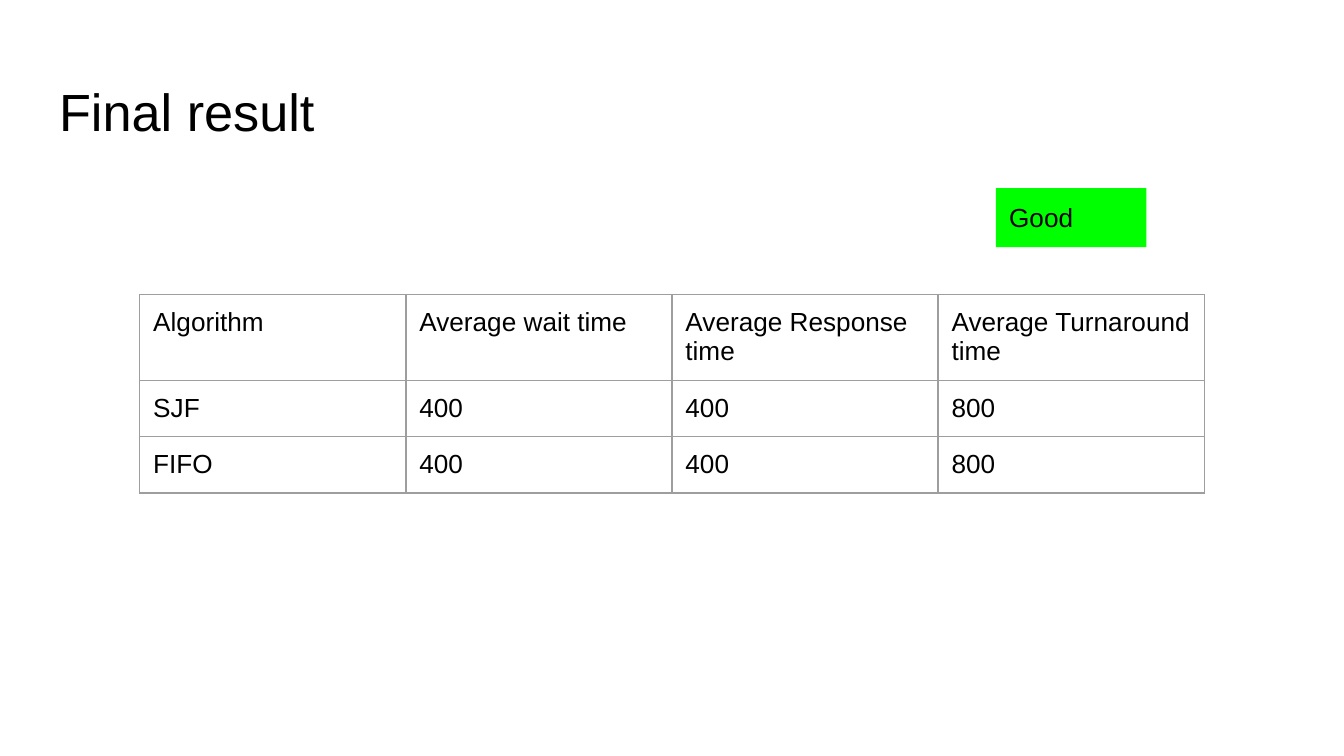
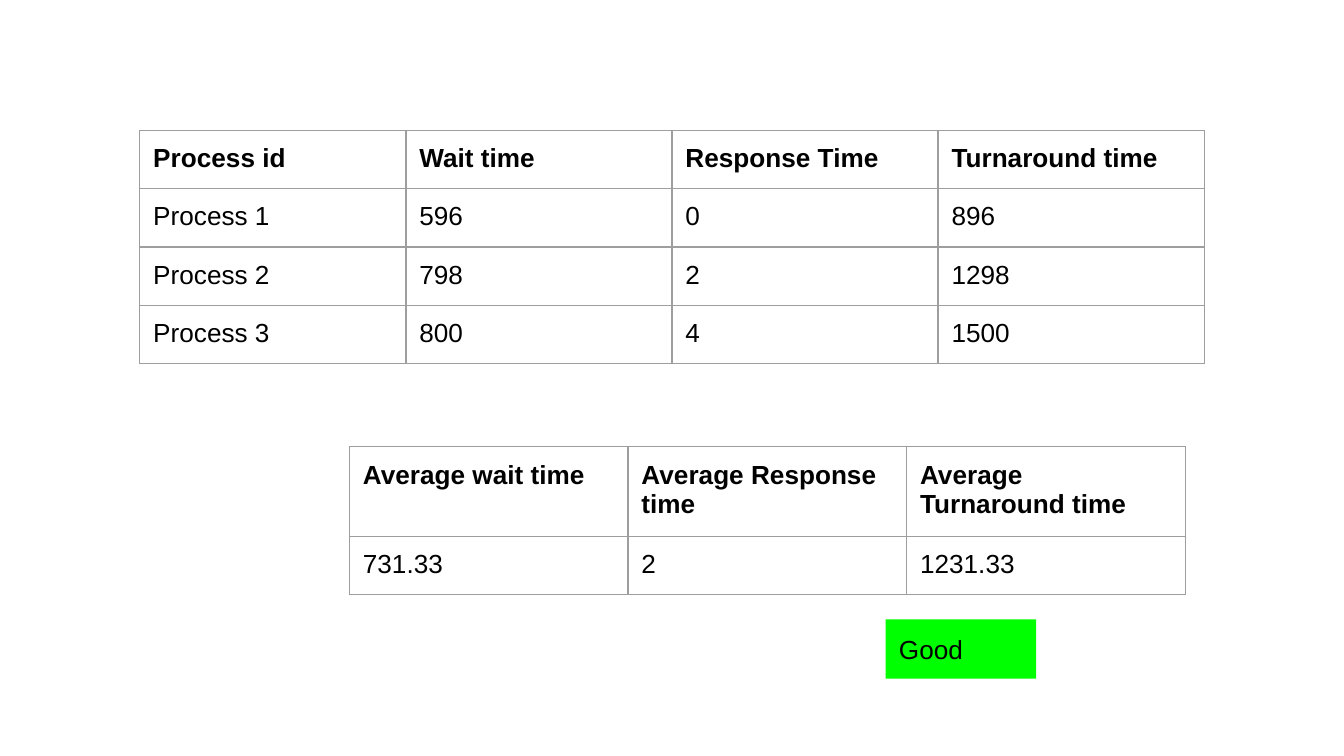
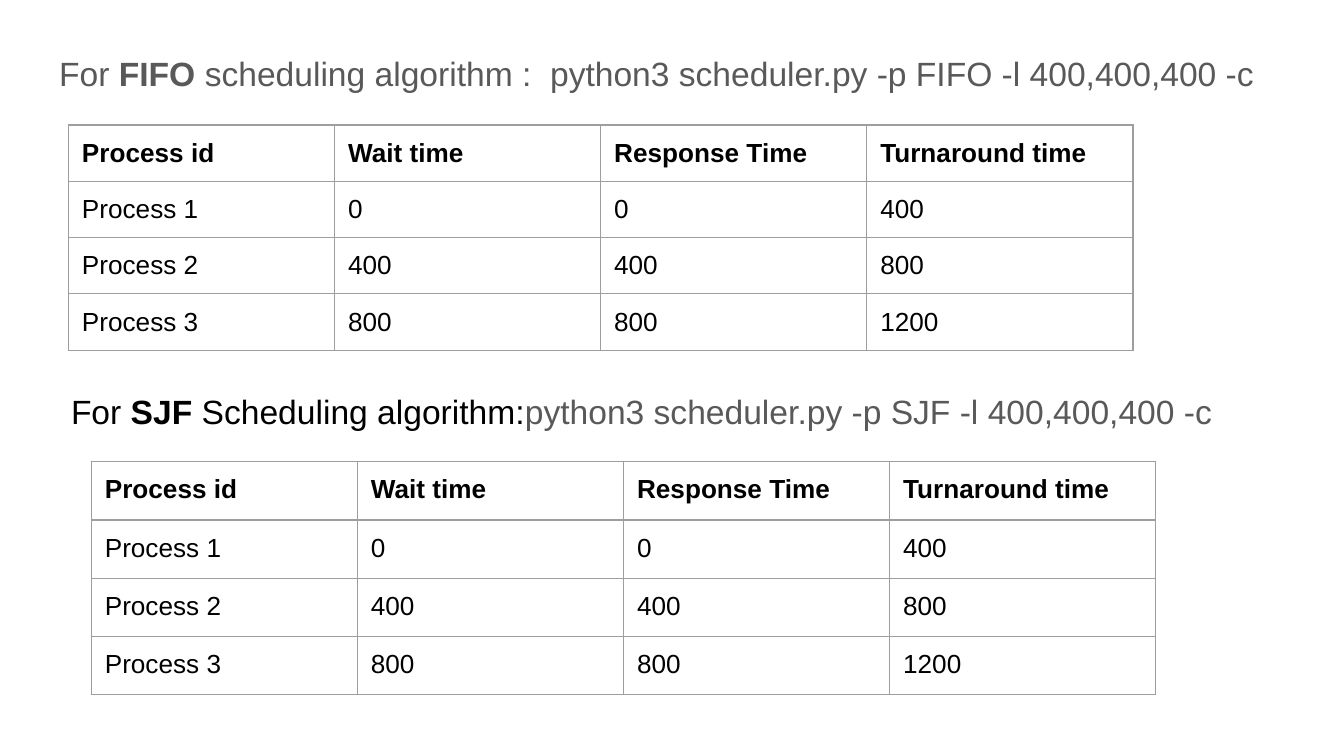
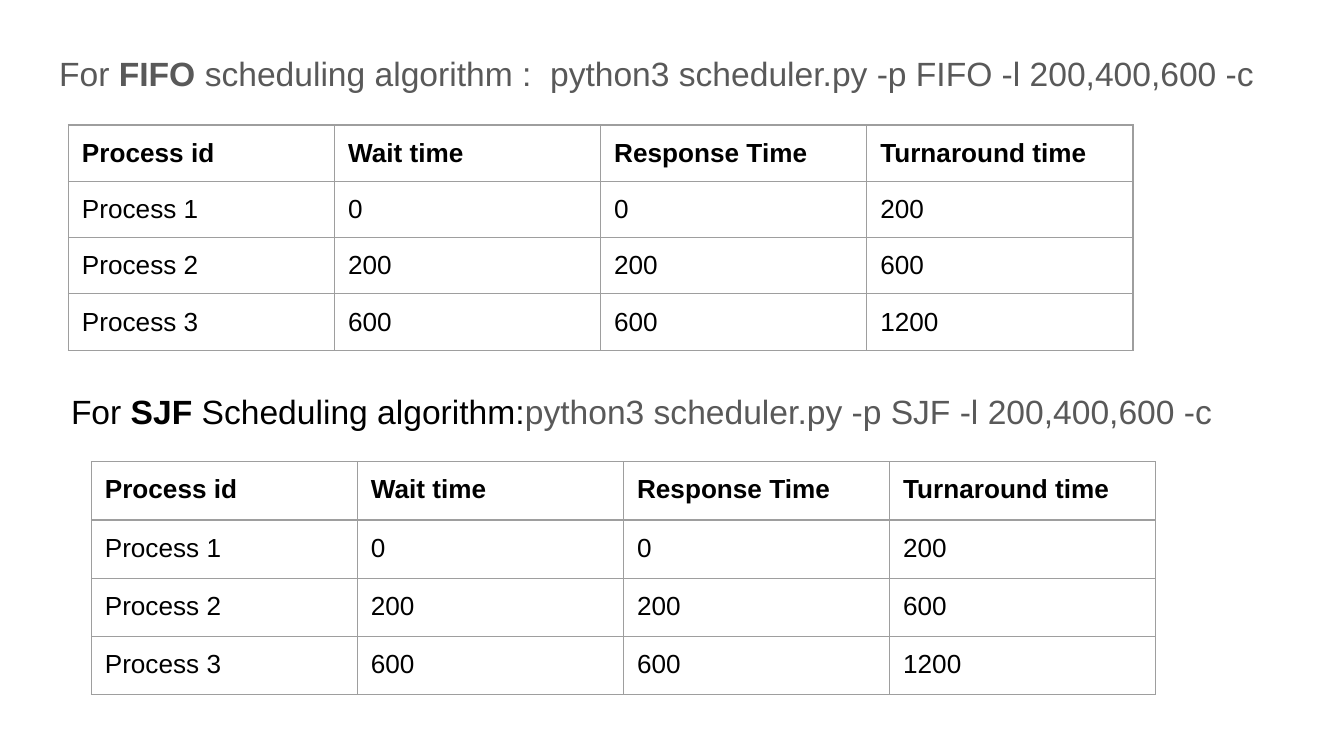
from dataclasses import dataclass

from lxml import etree
from pptx import Presentation
from pptx.dml.color import RGBColor
from pptx.enum.shapes import MSO_SHAPE
from pptx.enum.text import MSO_ANCHOR, MSO_AUTO_SIZE, PP_ALIGN
from pptx.oxml.ns import qn
from pptx.util import Inches, Pt

RECTANGLE = MSO_SHAPE.RECTANGLE
TOP = MSO_ANCHOR.TOP
LEFT = PP_ALIGN.LEFT
GROW = MSO_AUTO_SIZE.SHAPE_TO_FIT_TEXT
NO_FIT = MSO_AUTO_SIZE.NONE

# Layouts of the default template
TITLE_AND_BODY, TITLE_ONLY, BLANK = 1, 5, 6


@dataclass(frozen=True)
class Theme:
    font: str = "Arial"
    black: str = "000000"
    grey: str = "595959"
    border: str = "9E9E9E"
    green: str = "00FF00"
    title_size: int = 28
    heading_size: int = 18
    text_size: int = 14
    border_width: float = 0.75
    inset: float = 0.1


THEME = Theme()
SLIDE_WIDTH, SLIDE_HEIGHT = Inches(10), Inches(5.625)
COLUMNS, ROWS = 100, 56.25
CONTENT_COLUMN, CONTENT_WIDTH = 3.4, 93.2
TABLE_COLUMN_WIDTH = 19.8
TABLE_ROW_HEIGHT = 4.17
WRAPPED_ROW_HEIGHT = 6.4

PROCESS_HEADER = ["Process id", "Wait time", "Response Time", "Turnaround time"]
AVERAGE_HEADER = ["Average wait time", "Average Response time", "Average Turnaround time"]


class Deck:
    """Holds the theme and the current slide, and places elements on a grid."""

    def __init__(self, theme):
        self.theme = theme
        self.presentation = Presentation()
        self.presentation.slide_width = SLIDE_WIDTH
        self.presentation.slide_height = SLIDE_HEIGHT
        self.slide = None

    def add_slide(self, layout):
        layouts = self.presentation.slide_layouts
        self.slide = self.presentation.slides.add_slide(layouts[layout])

    def box(self, column, row, width, height):
        """Turn grid columns and rows into slide lengths."""
        across, down = SLIDE_WIDTH / COLUMNS, SLIDE_HEIGHT / ROWS
        return (round(column * across), round(row * down),
                round(width * across), round(height * down))

    def place(self, shape, column, row, width, height):
        shape.left, shape.top, shape.width, shape.height = self.box(
            column, row, width, height)

    def fill_frame(self, frame, runs, size, auto_size=NO_FIT):
        """Fill a text frame with one paragraph of (text, colour, bold) runs."""
        frame.word_wrap = True
        frame.auto_size = auto_size
        frame.vertical_anchor = TOP
        self.set_insets(frame)
        self.fill_paragraph(frame.paragraphs[0], runs, size)

    def set_insets(self, holder):
        inset = Inches(self.theme.inset)
        holder.margin_left = holder.margin_right = inset
        holder.margin_top = holder.margin_bottom = inset

    def fill_paragraph(self, paragraph, runs, size):
        paragraph.alignment = LEFT
        paragraph.space_before = Pt(0)
        for text, colour, bold in runs:
            run = paragraph.add_run()
            run.text = text
            run.font.name = self.theme.font
            run.font.size = Pt(size)
            run.font.bold = bold
            run.font.color.rgb = RGBColor.from_string(colour)

    def title(self, text):
        title = self.slide.shapes.title
        self.place(title, CONTENT_COLUMN, 4.9, CONTENT_WIDTH, 6.3)
        self.fill_frame(title.text_frame, [(text, self.theme.black, False)],
                        self.theme.title_size)

    def body(self, runs):
        """Use the body placeholder as a plain, unbulleted heading."""
        title = self.slide.shapes.title
        title.element.getparent().remove(title.element)
        body = self.slide.placeholders[1]
        self.place(body, CONTENT_COLUMN, 2.9, CONTENT_WIDTH, 23.7)
        properties = body.text_frame.paragraphs[0]._p.get_or_add_pPr()
        properties.set("marL", "0")
        properties.set("indent", "0")
        etree.SubElement(properties, qn("a:buNone"))
        self.fill_frame(body.text_frame, runs, self.theme.heading_size)

    def text_box(self, column, row, runs):
        text_box = self.slide.shapes.add_textbox(
            *self.box(column, row, CONTENT_WIDTH, 9.8))
        self.fill_frame(text_box.text_frame, runs, self.theme.heading_size, GROW)

    def good_label(self, column, row):
        label = self.slide.shapes.add_shape(
            RECTANGLE, *self.box(column, row, 11.2, 4.4))
        label.shadow.inherit = False
        label.fill.solid()
        label.fill.fore_color.rgb = RGBColor.from_string(self.theme.green)
        label.line.fill.background()
        self.fill_frame(label.text_frame, [("Good", self.theme.black, False)],
                        self.theme.text_size, GROW)

    def table(self, column, row, records, column_width=TABLE_COLUMN_WIDTH,
              row_height=TABLE_ROW_HEIGHT, header_height=None, bold_header=True):
        header_height = header_height or row_height
        column_count = len(records[0])
        height = header_height + row_height * (len(records) - 1)
        table = self.slide.shapes.add_table(
            len(records), column_count,
            *self.box(column, row, column_width * column_count, height)).table
        table.first_row = table.horz_banding = False
        for row_index, record in enumerate(records):
            is_header = row_index == 0
            table.rows[row_index].height = self.box(
                0, 0, 0, header_height if is_header else row_height)[3]
            for column_index, value in enumerate(record):
                self.fill_cell(table.cell(row_index, column_index), str(value),
                               is_header and bold_header)

    def fill_cell(self, cell, text, bold):
        cell.vertical_anchor = TOP
        self.set_insets(cell)
        self.fill_paragraph(cell.text_frame.paragraphs[0],
                            [(text, self.theme.black, bold)], self.theme.text_size)
        # Borders come before the fill in the cell properties
        properties = cell._tc.get_or_add_tcPr()
        for side in ("a:lnL", "a:lnR", "a:lnT", "a:lnB"):
            line = etree.SubElement(properties, qn(side),
                                    w=str(Pt(self.theme.border_width)))
            fill = etree.SubElement(line, qn("a:solidFill"))
            etree.SubElement(fill, qn("a:srgbClr"), val=self.theme.border)
        cell.fill.background()


def process_records(waits, responses, turnarounds):
    rows = zip(waits, responses, turnarounds)
    return [PROCESS_HEADER] + [
        [f"Process {number}", *values] for number, values in enumerate(rows, 1)]


def add_comparison_slide(deck, lengths):
    """Show FIFO and SJF, which run these job lengths in the same order."""
    theme = deck.theme
    turnarounds = [sum(lengths[:count + 1]) for count in range(len(lengths))]
    waits = [0] + turnarounds[:-1]
    records = process_records(waits, waits, turnarounds)
    options = "-l " + ",".join(map(str, lengths)) + " -c"

    deck.add_slide(TITLE_AND_BODY)
    deck.body([
        ("For", theme.grey, False),
        (" FIFO", theme.grey, True),
        (f" scheduling algorithm :  python3 scheduler.py -p FIFO {options}",
         theme.grey, False)])
    deck.table(5.1, 9.3, records)
    deck.text_box(4.3, 28.1, [
        ("For", theme.black, False),
        (" SJF", theme.black, True),
        (" Scheduling algorithm:", theme.black, False),
        (f"python3 scheduler.py -p SJF {options}", theme.grey, False)])
    deck.table(6.8, 34.35, records, row_height=4.34)


def main():
    deck = Deck(THEME)

    # Final result
    deck.add_slide(TITLE_ONLY)
    deck.title("Final result")
    deck.table(10.4, 21.9, [
        ["Algorithm", *AVERAGE_HEADER],
        ["SJF", 400, 400, 800],
        ["FIFO", 400, 400, 800],
    ], header_height=WRAPPED_ROW_HEIGHT, bold_header=False)
    deck.good_label(74.1, 14)

    # Process times and their averages
    deck.add_slide(BLANK)
    deck.table(10.4, 9.7, process_records(
        [596, 798, 800], [0, 2, 4], [896, 1298, 1500]), row_height=4.24)
    deck.table(26, 33.25, [AVERAGE_HEADER, ["731.33", 2, "1231.33"]],
               column_width=20.73, header_height=WRAPPED_ROW_HEIGHT)
    deck.good_label(65.9, 46.1)

    # FIFO against SJF
    for lengths in ([400, 400, 400], [200, 400, 600]):
        add_comparison_slide(deck, lengths)

    deck.presentation.save("out.pptx")


if __name__ == "__main__":
    main()
